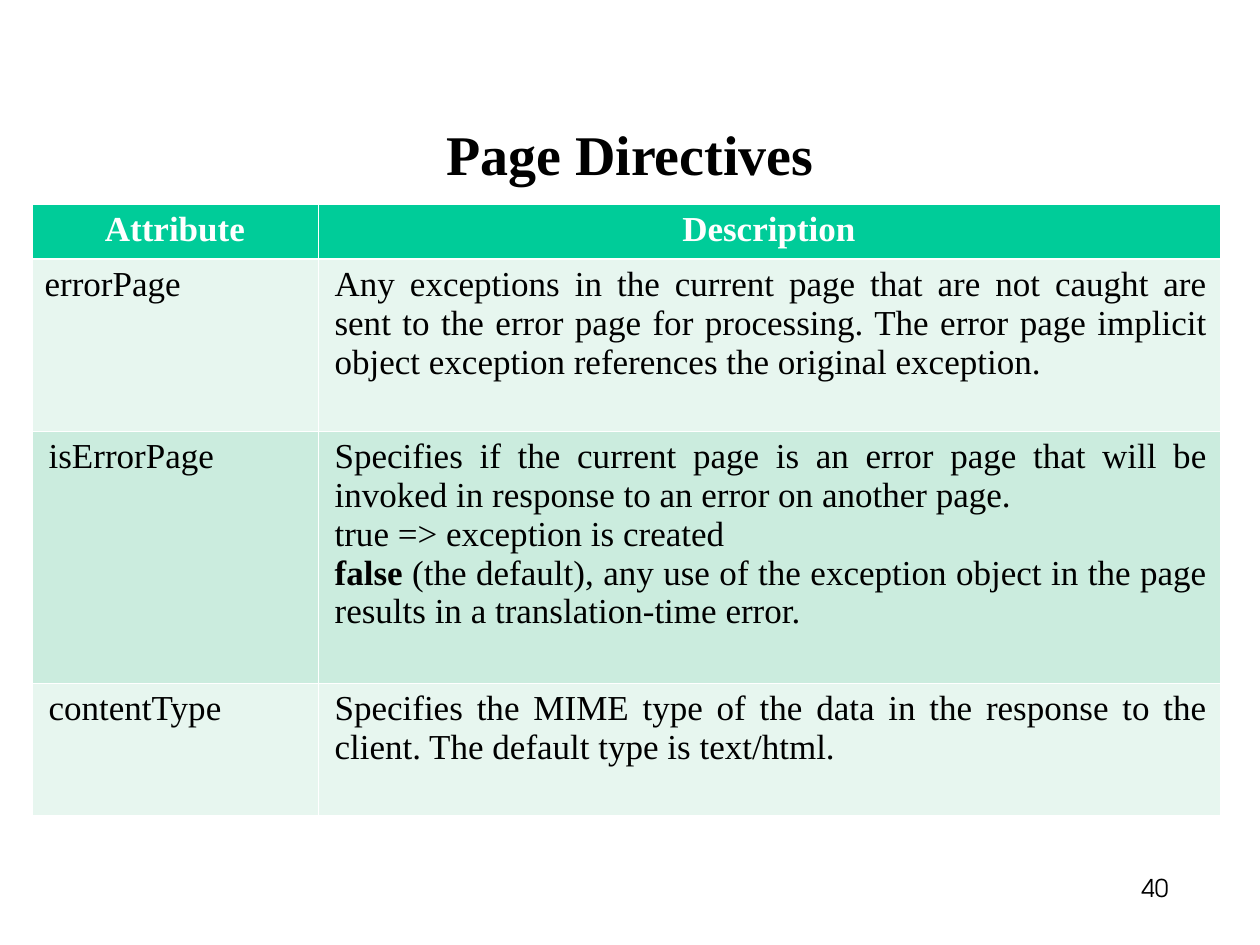
from lxml import etree
from pptx import Presentation
from pptx.dml.color import RGBColor
from pptx.enum.text import MSO_ANCHOR, PP_ALIGN
from pptx.oxml.ns import qn
from pptx.util import Emu, Pt

CENTER = PP_ALIGN.CENTER
JUSTIFY = PP_ALIGN.JUSTIFY
TOP = MSO_ANCHOR.TOP
MIDDLE = MSO_ANCHOR.MIDDLE

BLACK = RGBColor(0x00, 0x00, 0x00)
WHITE = RGBColor(0xFF, 0xFF, 0xFF)
HEADER_GREEN = RGBColor(0x00, 0xCC, 0x99)
BAND_GREENS = (RGBColor(0xCB, 0xEC, 0xDE), RGBColor(0xE7, 0xF6, 0xEF))

SERIF = "Times New Roman"
SANS = "TeX Gyre Adventor"
PIXELS_PER_INCH = 126
THIN, THICK = Pt(0.45), Pt(1.47)
INDENT = 4

COLUMN_WIDTHS = (286, 902)
ROW_HEIGHTS = (55, 172, 252, 132)
FALSE_WORD = "false"
HEADERS = ("Attribute", "Description")
ATTRIBUTES = (
    ("errorPage", (
        "Any exceptions in the current page that are not caught are sent to the error page "
        "for processing. The error page implicit object exception references the original "
        "exception. ",
    )),
    ("isErrorPage", (
        "Specifies if the current page is an error page that will be invoked in response "
        "to an error on another page. ",
        "true => exception is created",
        "false (the default), any use of the exception object in the page results in a "
        "translation-time error.",
    )),
    ("contentType", (
        "Specifies the MIME type of the data in the response to the client. "
        "The default type is text/html. ",
    )),
)


def px(length):
    """Convert pixels to EMU."""
    return Emu(round(length * 914400 / PIXELS_PER_INCH))


def format_run(run, size, color, name=SERIF, bold=False):
    """Apply font settings to a run."""
    run.font.size = Pt(size)
    run.font.name = name
    run.font.bold = bold
    run.font.color.rgb = color


def write_paragraph(paragraph, text, alignment, size, color, name=SERIF, bold=False):
    """Fill a paragraph with one formatted run."""
    paragraph.text = text
    paragraph.alignment = alignment
    format_run(paragraph.runs[0], size, color, name, bold)


def add_title(slide, text):
    """Place and fill the title placeholder."""
    title = slide.shapes.title
    title.left, title.top, title.width, title.height = map(px, (63, 112, 1134, 83))
    title.text_frame.vertical_anchor = MIDDLE
    write_paragraph(title.text_frame.paragraphs[0], text, CENTER, 32, BLACK, bold=True)


def add_page_number(slide, text):
    """Add the page number at the lower right."""
    box = slide.shapes.add_textbox(*map(px, (1121, 852, 68, 77)))
    box.text_frame.word_wrap = True
    box.text_frame.vertical_anchor = TOP
    paragraph = box.text_frame.paragraphs[0]
    write_paragraph(paragraph, text, CENTER, 14, BLACK, SANS)
    paragraph.line_spacing = 1.5


def set_borders(cell, top, bottom):
    """Draw white borders with the given top and bottom widths."""
    properties = cell._tc.get_or_add_tcPr()
    for side, width in (("L", THIN), ("R", THIN), ("T", top), ("B", bottom)):
        line = etree.SubElement(properties, qn(f"a:ln{side}"), w=str(int(width)))
        fill = etree.SubElement(line, qn("a:solidFill"))
        etree.SubElement(fill, qn("a:srgbClr"), val=str(WHITE))


def style_cell(cell, row, color):
    """Set the borders and fill of a cell in the given row."""
    set_borders(cell, THICK if row == 1 else THIN, THICK if row == 0 else THIN)
    cell.fill.solid()
    cell.fill.fore_color.rgb = color


def write_body_cell(cell, texts, indent):
    """Write justified paragraphs, with a leading false in bold."""
    for index, text in enumerate(texts):
        frame = cell.text_frame
        paragraph = frame.add_paragraph() if index else frame.paragraphs[0]
        paragraph._p.get_or_add_pPr().set("marL", str(px(indent)))
        if text.startswith(FALSE_WORD):
            write_paragraph(paragraph, FALSE_WORD, JUSTIFY, 20, BLACK, bold=True)
            remainder = paragraph.add_run()
            remainder.text = text.removeprefix(FALSE_WORD)
            format_run(remainder, 20, BLACK)
        else:
            write_paragraph(paragraph, text, JUSTIFY, 20, BLACK)


def add_attribute_table(slide):
    """Add the table of page directive attributes."""
    table = slide.shapes.add_table(
        len(ROW_HEIGHTS), len(COLUMN_WIDTHS), px(32), px(204),
        px(sum(COLUMN_WIDTHS)), px(sum(ROW_HEIGHTS)),
    ).table
    for column, width in zip(table.columns, COLUMN_WIDTHS):
        column.width = px(width)
    for row, height in zip(table.rows, ROW_HEIGHTS):
        row.height = px(height)

    for column, header in enumerate(HEADERS):
        cell = table.cell(0, column)
        style_cell(cell, 0, HEADER_GREEN)
        write_paragraph(cell.text_frame.paragraphs[0], header, CENTER, 20, WHITE, bold=True)
    for row, (attribute, description) in enumerate(ATTRIBUTES, start=1):
        for column, texts in enumerate(((attribute,), description)):
            cell = table.cell(row, column)
            style_cell(cell, row, BAND_GREENS[row % 2])
            write_body_cell(cell, texts, 0 if row == 1 and column == 0 else INDENT)


def main():
    """Build and save the slide."""
    presentation = Presentation()
    presentation.slide_width, presentation.slide_height = px(1260), px(945)
    slide = presentation.slides.add_slide(presentation.slide_layouts[5])
    add_page_number(slide, "40")
    add_title(slide, "Page Directives")
    add_attribute_table(slide)
    presentation.save("out.pptx")


if __name__ == "__main__":
    main()
